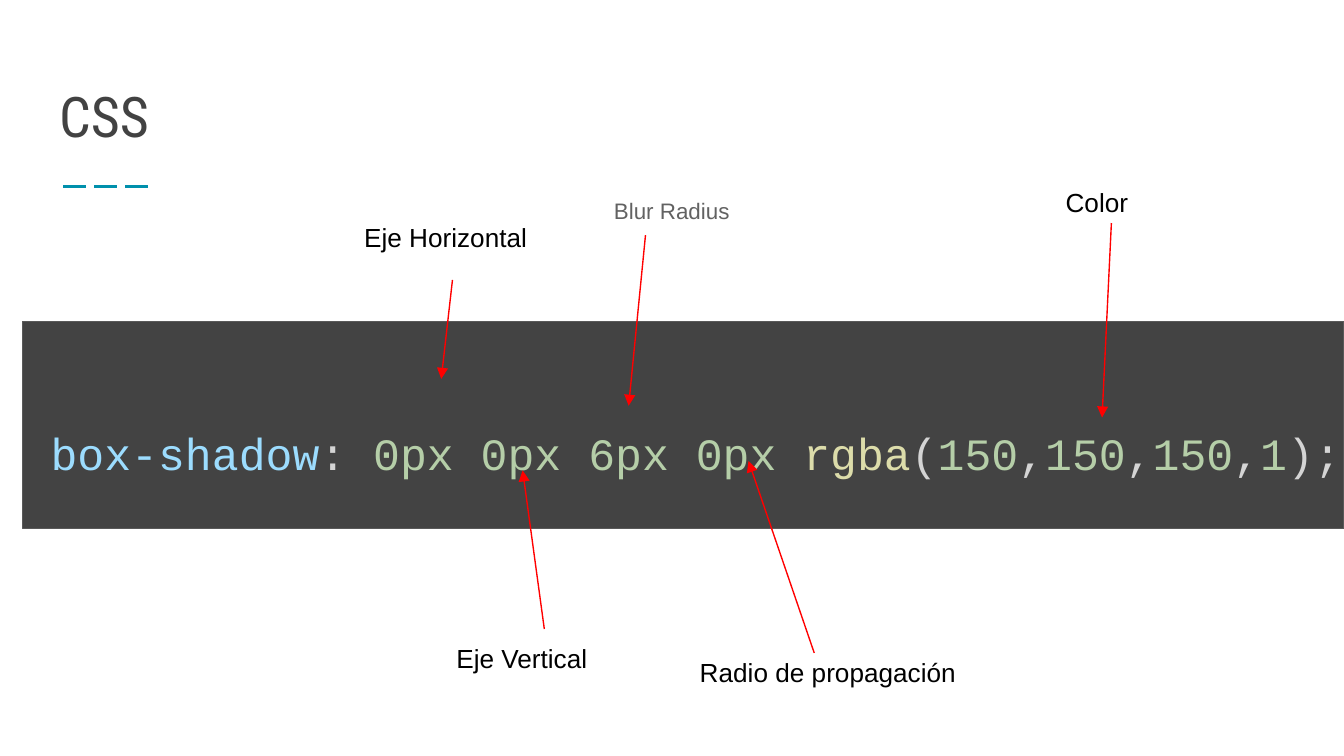
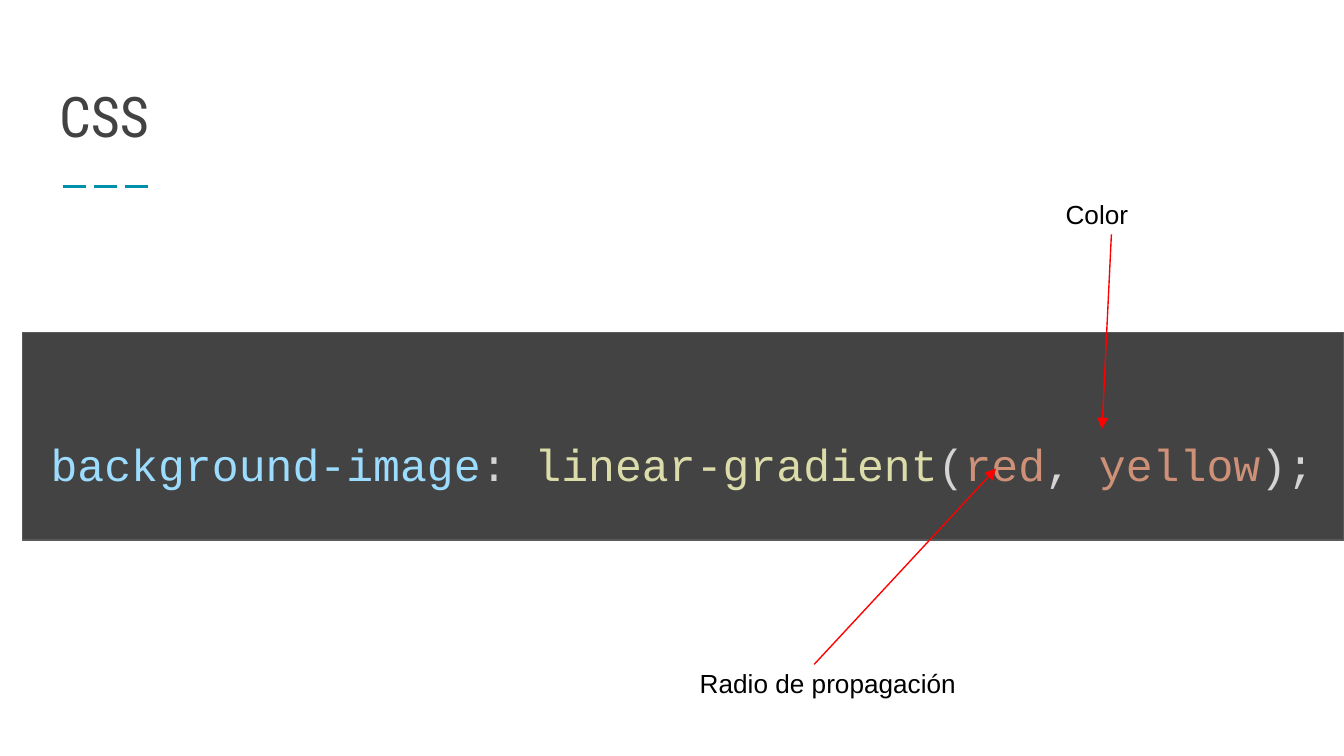
from dataclasses import dataclass
from lxml.etree import SubElement
from pptx import Presentation
from pptx.dml.color import RGBColor as RGB
from pptx.enum.dml import MSO_LINE as Dash
from pptx.enum.shapes import MSO_CONNECTOR as Conn, MSO_SHAPE as Shape
from pptx.enum.text import MSO_ANCHOR as Anchor, PP_ALIGN as Align
from pptx.oxml.ns import qn
from pptx.util import Pt


@dataclass(frozen=True)
class Theme:
    title: str = "424242"
    rule: str = "0090AC"
    band: str = "434343"
    edge: str = "595959"
    arrow: str = "FF0000"
    ink: str = "000000"
    soft: str = "626262"
    paper: str = "FFFFFF"
    # code colours
    prop: str = "9CDCFE"
    mark: str = "D4D4D4"
    num: str = "B5CEA8"
    func: str = "DCDCAA"
    word: str = "CE9178"
    # fonts and sizes
    head: str = "Roboto Condensed"
    body: str = "Arial"
    mono: str = "Courier New"
    big: float = 30
    code: float = 24
    text: float = 14
    small: float = 12
    inset: float = 7.2
    thin: float = 0.75
    thick: float = 1.5


class Deck:
    def __init__(self, theme):
        self.theme = theme
        self.prs = Presentation()
        self.prs.slide_width, self.prs.slide_height = Pt(720), Pt(405)
        self.slide = None

    def start(self, title):
        """Add a slide with its title and the dashed rule below it."""
        t = self.theme
        self.slide = self.prs.slides.add_slide(self.prs.slide_layouts[5])
        self.rule((34, 100), (82, 100))
        box = self.slide.shapes.title
        box.left, box.top, box.width, box.height = map(Pt, (24.5, 29.5, 671, 57.6))
        self.frame(box, Anchor.BOTTOM)
        para = box.text_frame.paragraphs[0]
        para.alignment = Align.LEFT
        self.run(para, title, t.head, t.big, t.title)

    def frame(self, box, anchor=Anchor.TOP):
        tf = box.text_frame
        tf.word_wrap = True
        tf.vertical_anchor = anchor
        tf.margin_left = tf.margin_right = Pt(self.theme.inset)
        tf.margin_top = tf.margin_bottom = Pt(self.theme.inset)

    def run(self, para, text, font, size, color):
        run = para.add_run()
        run.text = text
        run.font.name, run.font.size = font, Pt(size)
        run.font.color.rgb = RGB.from_string(color)
        return run

    def box(self, x, y, w, h):
        """Add an empty text box and return its first paragraph."""
        box = self.slide.shapes.add_textbox(Pt(x), Pt(y), Pt(w), Pt(h))
        self.frame(box)
        return box.text_frame.paragraphs[0]

    def label(self, text, x, y, w, h):
        t = self.theme
        self.run(self.box(x, y, w, h), text, t.body, t.text, t.ink)

    def hint(self, text, x, y, w, h):
        """Add a small grey label with a highlight."""
        t = self.theme
        run = self.run(self.box(x, y, w, h), text, t.body, t.small, t.soft)
        props = run.font._element
        light = SubElement(props, qn("a:highlight"))
        SubElement(light, qn("a:srgbClr"), val=t.paper)
        props.find(qn("a:solidFill")).addnext(light)

    def code(self, y, parts):
        """Add the dark band with one line of coloured code."""
        t = self.theme
        band = self.slide.shapes.add_shape(
            Shape.RECTANGLE, Pt(12.2), Pt(y), Pt(707.8), Pt(111))
        band.shadow.inherit = False
        band.fill.solid()
        band.fill.fore_color.rgb = RGB.from_string(t.band)
        band.line.color.rgb = RGB.from_string(t.edge)
        band.line.width = Pt(t.thin)
        para = self.box(20, y + 34.2, 720, 93.6)
        para.line_spacing = 1.5
        for text, color in parts:
            self.run(para, text, t.mono, t.code, color)

    def line(self, start, end, color, width):
        line = self.slide.shapes.add_connector(
            Conn.STRAIGHT, *map(Pt, (*start, *end)))
        line.line.color.rgb = RGB.from_string(color)
        line.line.width = Pt(width)
        SubElement(line._element.spPr, qn("a:effectLst"))
        return line.line

    def rule(self, start, end):
        line = self.line(start, end, self.theme.rule, self.theme.thick)
        line.dash_style = Dash.LONG_DASH

    def arrow(self, start, end):
        line = self.line(start, end, self.theme.arrow, self.theme.thin)
        SubElement(line._get_or_add_ln(), qn("a:tailEnd"), type="triangle")

    def common(self, parts, spread, drop=0):
        """Add code, colour and spread notes, all lowered by drop."""
        self.code(172.2 + drop, parts)
        self.label("Radio de propagación", 367.8, 344.2 + drop, 236, 64)
        self.label("Color", 563.8, 92.9 + drop, 62.6, 26.6)
        self.arrow((436.2, 349.8 + drop), spread)
        self.arrow((595.4, 119.5 + drop), (590.4, 223.7 + drop))


def shadow(deck):
    t = deck.theme
    deck.start("CSS")
    parts = [("box-shadow", t.prop), (": ", t.mark),
             ("0px 0px 6px 0px ", t.num), ("rgba", t.func), ("(", t.mark)]
    for _ in range(3):
        parts += [("150", t.num), (",", t.mark)]
    parts += [("1", t.num), (");", t.mark)]
    deck.common(parts, (401, 247))
    deck.label("Eje Horizontal", 188, 111.4, 108.7, 38.6)
    deck.label("Eje Vertical", 237.4, 337.2, 108.7, 38.6)
    deck.hint("Blur Radius", 321.8, 98.6, 108.7, 38.6)
    deck.arrow((242.4, 150), (236.4, 203))
    deck.arrow((291.6, 337), (280, 252))
    deck.arrow((345.8, 126), (336.8, 217.4))


def gradient(deck):
    t = deck.theme
    deck.start("CSS")
    deck.common([("background-image", t.prop), (": ", t.mark),
                 ("linear-gradient", t.func), ("(", t.mark), ("red", t.word),
                 (", ", t.mark), ("yellow", t.word), (");", t.mark)],
                (533.6, 251), drop=6.1)


def main():
    deck = Deck(Theme())
    shadow(deck)
    gradient(deck)
    deck.prs.save("out.pptx")


if __name__ == "__main__":
    main()
